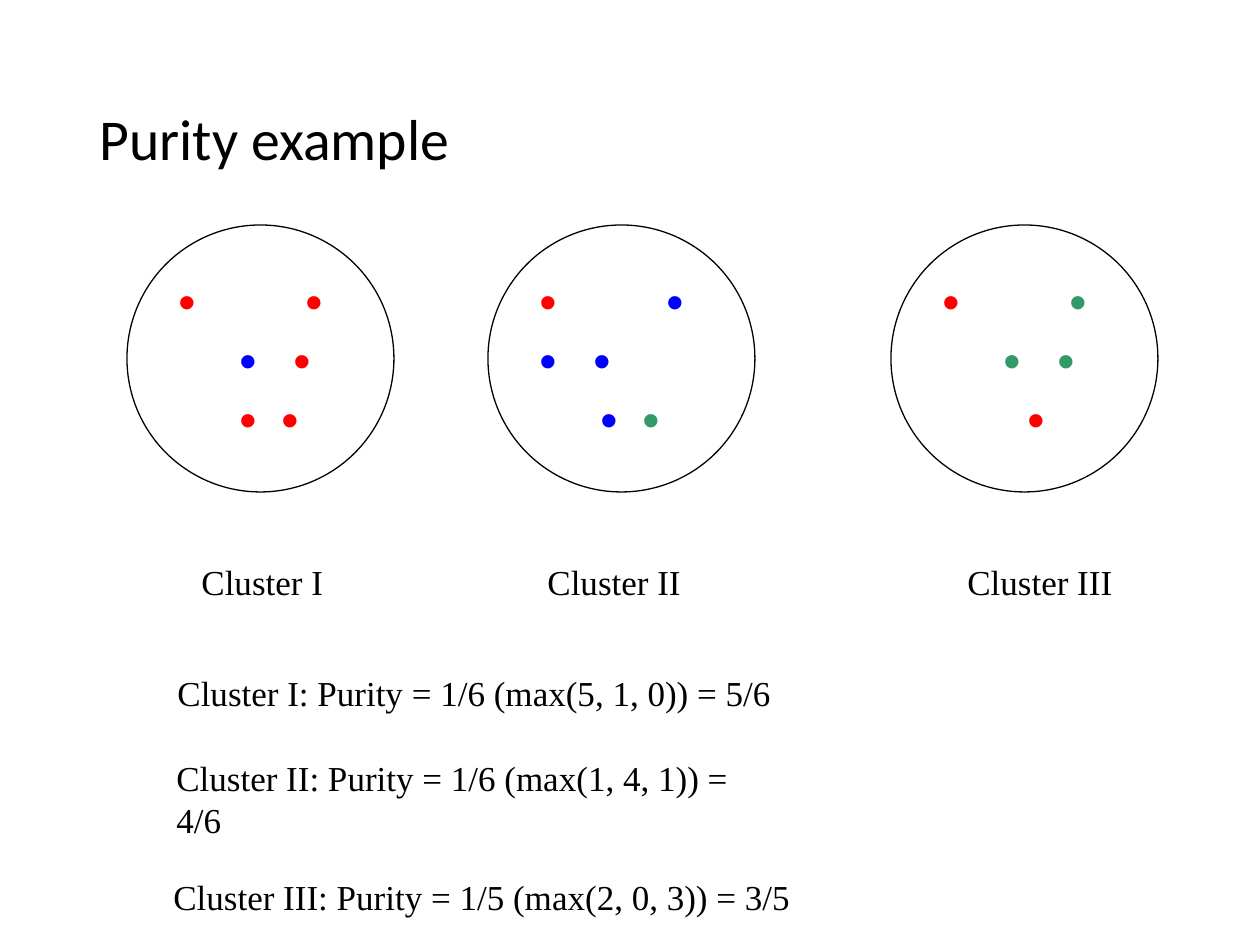
from dataclasses import dataclass

import pptx
import pptx.dml.color
import pptx.enum.shapes
import pptx.enum.text
import pptx.oxml.ns
import pptx.util
from lxml import etree

EMU_PER_PX = 914400 // 126
CIRCLE_TOP = 225
CIRCLE_SIZE = 267
LABEL_TOP = 554
LINE_HEIGHT = 55
RED, BLUE, GREEN = "FF0000", "0000FF", "339966"
BLACK, WHITE = "000000", "FFFFFF"
SERIF = "Times New Roman"


@dataclass
class Dot:
    offset: int
    color: str


@dataclass
class Cluster:
    left: int
    rows: list[list[Dot]]


@dataclass
class Label:
    text: str
    left: int
    top: int
    width: int
    height: int = LINE_HEIGHT
    size: int = 20
    font: str = SERIF
    wrap: bool = True
    spacing: float = 1.0


CLUSTERS = [
    Cluster(127, [
        [Dot(0, RED), Dot(127, RED)],
        [Dot(61, BLUE), Dot(115, RED)],
        [Dot(61, RED), Dot(103, RED)],
    ]),
    Cluster(488, [
        [Dot(0, RED), Dot(127, BLUE)],
        [Dot(0, BLUE), Dot(54, BLUE)],
        [Dot(61, BLUE), Dot(103, GREEN)],
    ]),
    Cluster(891, [
        [Dot(0, RED), Dot(127, GREEN)],
        [Dot(61, GREEN), Dot(115, GREEN)],
        [Dot(85, RED)],
    ]),
]

LABELS = [
    Label("Cluster I", 189, LABEL_TOP, 147),
    Label("Cluster II", 535, LABEL_TOP, 184),
    Label("Cluster III", 955, LABEL_TOP, 174),
    Label("Cluster I: Purity = 1/6 (max(5, 1, 0)) = 5/6", 165, 665, 664),
    Label("Cluster II: Purity = 1/6 (max(1, 4, 1)) = 4/6", 164, 771, 630, wrap=False),
    Label("Cluster III: Purity = 1/5 (max(2, 0, 3)) = 3/5", 161, 869, 642, wrap=False),
    Label("Purity example", 87, 50, 1087, 183, 33, "Calibri", spacing=0.9),
]


def px(n: int) -> int:
    return pptx.util.Emu(n * EMU_PER_PX)


def rgb(value: str) -> pptx.dml.color.RGBColor:
    return pptx.dml.color.RGBColor.from_string(value)


def add_tab_stops(p, offsets: list[int]) -> None:
    qn = pptx.oxml.ns.qn
    tabs = etree.SubElement(p._p.get_or_add_pPr(), qn("a:tabLst"))
    for offset in offsets:
        etree.SubElement(tabs, qn("a:tab"), pos=str(px(offset)), algn="l")


def draw_cluster(slide, cluster: Cluster) -> None:
    sp = slide.shapes.add_shape(
        pptx.enum.shapes.MSO_SHAPE.OVAL,
        px(cluster.left), px(CIRCLE_TOP), px(CIRCLE_SIZE), px(CIRCLE_SIZE),
    )
    sp.shadow.inherit = False
    sp.fill.solid()
    sp.fill.fore_color.rgb = rgb(WHITE)
    sp.line.color.rgb = rgb(BLACK)
    sp.line.width = pptx.util.Pt(0.75)
    tf = sp.text_frame
    tf.word_wrap = True
    tf.vertical_anchor = pptx.enum.text.MSO_ANCHOR.MIDDLE
    for i, row in enumerate(cluster.rows):
        p = tf.add_paragraph() if i else tf.paragraphs[0]
        p.alignment = pptx.enum.text.PP_ALIGN.LEFT
        p.line_spacing = pptx.util.Pt(33.7)
        add_tab_stops(p, [dot.offset for dot in row if dot.offset])
        p.font.size = pptx.util.Pt(28)
        p.font.name = "Arial"
        for dot in row:
            r = p.add_run()
            r.text = "\t•" if dot.offset else "•"
            r.font.color.rgb = rgb(dot.color)


def draw_label(slide, label: Label) -> None:
    sp = slide.shapes.add_textbox(
        px(label.left), px(label.top), px(label.width), px(label.height)
    )
    tf = sp.text_frame
    tf.word_wrap = label.wrap
    tf.vertical_anchor = pptx.enum.text.MSO_ANCHOR.MIDDLE
    p = tf.paragraphs[0]
    p.text = label.text
    p.line_spacing = label.spacing
    p.font.size = pptx.util.Pt(label.size)
    p.font.name = label.font
    p.font.color.rgb = rgb(BLACK)


def main() -> None:
    prs = pptx.Presentation()
    prs.slide_width, prs.slide_height = px(1260), px(945)
    slide = prs.slides.add_slide(prs.slide_layouts[6])
    for cluster in CLUSTERS:
        draw_cluster(slide, cluster)
    for label in LABELS:
        draw_label(slide, label)
    prs.save("out.pptx")


if __name__ == "__main__":
    main()
